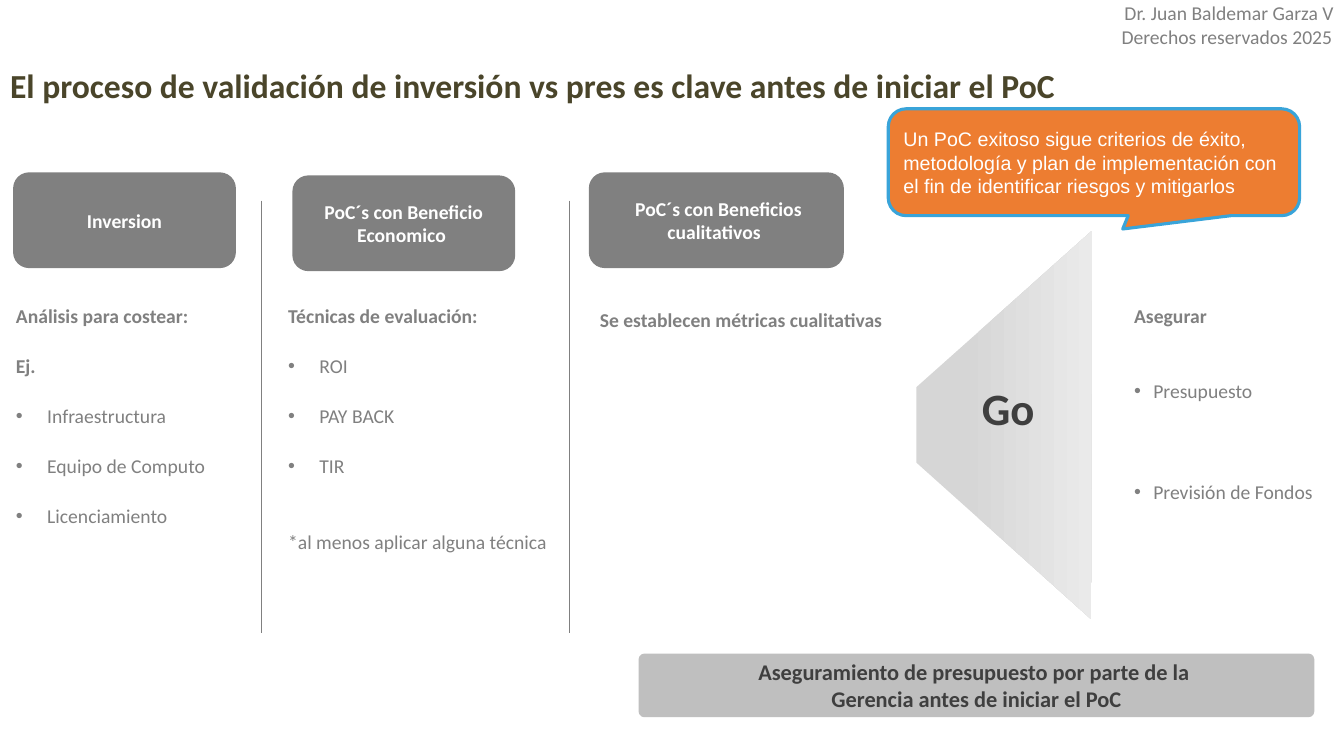
from lxml import etree
from pptx import Presentation
from pptx.dml.color import RGBColor
from pptx.enum.shapes import MSO_CONNECTOR, MSO_SHAPE
from pptx.enum.text import MSO_ANCHOR, PP_ALIGN
from pptx.oxml.ns import qn
from pptx.util import Inches, Pt

GRAY = RGBColor(0x80, 0x80, 0x80)
DARK = RGBColor(0x3F, 0x3F, 0x3F)
OLIVE = RGBColor(0x4A, 0x45, 0x2A)
WHITE = RGBColor(0xFF, 0xFF, 0xFF)
SILVER = RGBColor(0xBF, 0xBF, 0xBF)
ORANGE = RGBColor(0xED, 0x7D, 0x31)
BLUE = RGBColor(0x39, 0xA4, 0xD9)
GO_STOPS = [(0.28, RGBColor(0xD6, 0xD6, 0xD6)), (1, RGBColor(0xEA, 0xEA, 0xEA))]

LEFT, CENTER = PP_ALIGN.LEFT, PP_ALIGN.CENTER
TOP, MIDDLE = MSO_ANCHOR.TOP, MSO_ANCHOR.MIDDLE
ROUNDED = MSO_SHAPE.ROUNDED_RECTANGLE
CALLOUT = MSO_SHAPE.ROUNDED_RECTANGULAR_CALLOUT
STRAIGHT = MSO_CONNECTOR.STRAIGHT

LINE_PT = 18
LINE_SPACING = 1.06

TITLE = "El proceso de validación de inversión vs pres es clave antes de iniciar el PoC"
CREDIT = [" Dr. Juan Baldemar Garza V", "Derechos reservados 2025"]
BUDGET = ["Aseguramiento de presupuesto por parte de la ", "Gerencia antes de iniciar el PoC"]
ADVICE = ["Un PoC exitoso sigue criterios de éxito, metodología y plan de "
          "implementación con el fin de identificar riesgos y mitigarlos"]

CARDS = [
    ("Inversion", (0.13, 1.71, 2.21, 0.95)),
    ("PoC´s con Beneficio Economico ", (2.9, 1.74, 2.21, 0.95)),
    (" PoC´s con Beneficios cualitativos ", (5.84, 1.71, 2.53, 0.95)),
]
# style letters: h = heading, b = bullet, n = note
COLUMNS = [
    ((0.06, 2.9, 2.86, 2.8), 0.31, [
        ("h", 0, "Análisis para costear:"), ("h", 1, "Ej."),
        ("b", 1, "Infraestructura"), ("b", 1, "Equipo de Computo"),
        ("b", 1, "Licenciamiento")]),
    ((2.76, 2.9, 2.86, 2.8), 0.31, [
        ("h", 0, "Técnicas de evaluación:"), ("b", 1, "ROI"),
        ("b", 1, "PAY BACK"), ("b", 1, "TIR"),
        ("n", 2, "*al menos aplicar alguna técnica")]),
    ((5.85, 2.94, 3.79, 0.5), 0, [("h", 0, "Se establecen métricas cualitativas")]),
    ((11.15, 2.9, 2.53, 2.3), 0.19, [
        ("h", 0, "Asegurar"), ("b", 2, "Presupuesto"), ("b", 3, "Previsión de Fondos")]),
]
DIVIDERS_X = [2.59, 5.65]
DIVIDER_Y = (1.99, 6.28)
FUNNEL = [(10.82, 6.14), (9.09, 4.59), (9.09, 3.84), (10.83, 2.29)]


def box(at):
    return [Inches(v) for v in at]


def set_font(p, size, color, bold=False, name="Calibri"):
    fmt = {"name": name, "size": Pt(size), "bold": bold}
    for r in p.runs:
        for key, value in fmt.items():
            setattr(r.font, key, value)
        r.font.color.rgb = color


def set_frame(tf, anchor=TOP, ins=(0.1, 0.05)):
    x, y = box(ins)
    fmt = {"word_wrap": True, "vertical_anchor": anchor, "margin_left": x,
           "margin_right": x, "margin_top": y, "margin_bottom": y}
    for key, value in fmt.items():
        setattr(tf, key, value)


def write(tf, lines, align, *font):
    for i, text in enumerate(lines):
        p = tf.add_paragraph() if i else tf.paragraphs[0]
        p.text = text
        p.alignment = align
        set_font(p, *font)


def add_bullet(p, indent):
    pPr = p._p.get_or_add_pPr()
    pPr.set("marL", str(Inches(indent)))
    pPr.set("indent", str(-Inches(indent)))
    etree.SubElement(pPr, qn("a:buFont")).set("typeface", "Arial")
    etree.SubElement(pPr, qn("a:buChar")).set("char", "•")


def add_label(shapes, at, lines, *font):
    tf = shapes.add_textbox(*box(at)).text_frame
    set_frame(tf)
    write(tf, lines, CENTER, *font)


def add_panel(shapes, kind, at, adjustments, fill, line=None):
    sp = shapes.add_shape(kind, *box(at))
    sp.shadow.inherit = False
    for i, value in enumerate(adjustments):
        sp.adjustments[i] = value
    sp.fill.solid()
    sp.fill.fore_color.rgb = fill
    if line:
        sp.line.color.rgb = line
        sp.line.width = Pt(2.25)
    else:
        sp.line.fill.background()
    return sp.text_frame


def add_column(shapes, at, indent, items):
    tf = shapes.add_textbox(*box(at)).text_frame
    set_frame(tf, ins=(0.1, 0.1))
    for i, (style, blanks, text) in enumerate(items):
        p = tf.add_paragraph() if i else tf.paragraphs[0]
        p.text = text
        p.line_spacing = LINE_SPACING
        if blanks:
            p.space_before = Pt(blanks * LINE_PT)
        if style == "b":
            add_bullet(p, indent)
        set_font(p, 14, GRAY, style == "h")


def add_divider(shapes, x):
    top, bottom = DIVIDER_Y
    line = shapes.add_connector(STRAIGHT, *box((x, top, x, bottom)))
    line.line.color.rgb = GRAY
    line.line.width = Pt(0.5)
    etree.SubElement(line._element.spPr, qn("a:effectLst"))


def add_funnel(shapes):
    points = [box(point) for point in FUNNEL]
    builder = shapes.build_freeform(*points[0])
    builder.add_line_segments(points[1:], close=True)
    sp = builder.convert_to_shape()
    sp.shadow.inherit = False
    sp.line.fill.background()
    sp.fill.gradient()
    sp.fill.gradient_angle = 0
    for stop, (position, color) in zip(sp.fill.gradient_stops, GO_STOPS):
        stop.position = position
        stop.color.rgb = color


def main():
    prs = Presentation()
    prs.slide_width, prs.slide_height = box((13.33, 7.5))
    s = prs.slides.add_slide(prs.slide_layouts[5])
    shapes = s.shapes

    title = shapes.title
    title.left, title.top, title.width, title.height = box((0, 0.48, 12.48, 0.73))
    set_frame(title.text_frame, MIDDLE)
    write(title.text_frame, [TITLE], LEFT, 24, OLIVE, True)
    add_label(shapes, (10.76, -0.04, 2.82, 0.57), CREDIT, 14, GRAY)

    for text, at in CARDS:
        tf = add_panel(shapes, ROUNDED, at, [0.167], GRAY)
        set_frame(tf, MIDDLE, (0.13, 0.13))
        write(tf, [text], CENTER, 14, WHITE, True)
    for column in COLUMNS:
        add_column(shapes, *column)
    for x in DIVIDERS_X:
        add_divider(shapes, x)

    add_funnel(shapes)
    add_label(shapes, (6.67, 3.73, 6.76, 0.64), ["Go "], 32, DARK, True)

    tf = add_panel(shapes, ROUNDED, (6.35, 6.5, 6.67, 0.6), [0.07], SILVER, SILVER)
    set_frame(tf, MIDDLE)
    write(tf, BUDGET, CENTER, 16, DARK, True)

    tf = add_panel(shapes, CALLOUT, (8.81, 1.08, 4.08, 1.06), [0.07, 0.625, 0.167], ORANGE, BLUE)
    set_frame(tf, MIDDLE)
    write(tf, ADVICE, LEFT, 14, WHITE, False, "Arial")

    prs.save("out.pptx")


if __name__ == "__main__":
    main()
